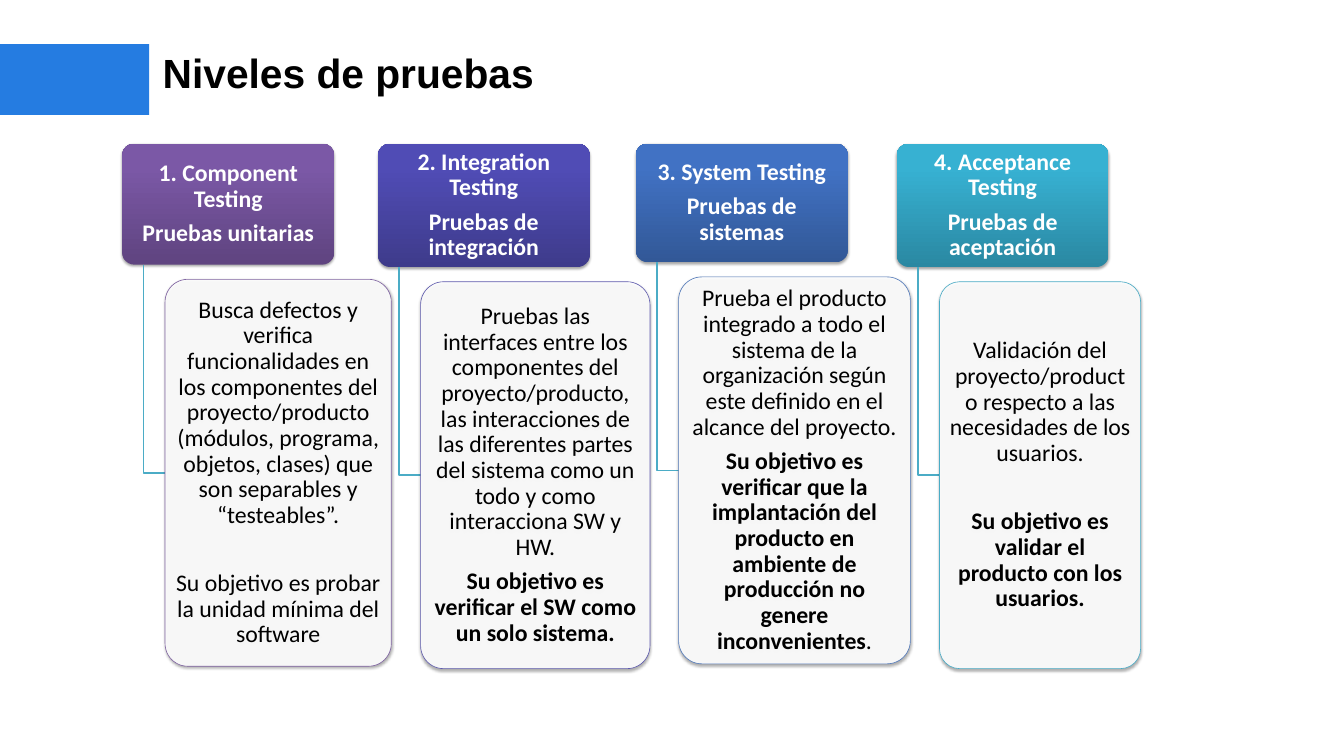
"""Build the slide on the four levels of software testing."""
from lxml import etree
from pptx import Presentation
from pptx import util as u
from pptx.dml.color import RGBColor
from pptx.enum import shapes, text
from pptx.oxml import ns

TITLE = "Niveles de pruebas"
LEVELS = [
    dict(left=5.08, header_height=5.03, card_width=9.4,
         dark="5F4480", light="7B58A6", outline="8064A2", gap=40,
         header=["1. Component Testing", "Pruebas unitarias"],
         card=[[("Busca defectos y verifica funcionalidades en los componentes del "
                 "proyecto/producto (módulos, programa, objetos, clases) que son "
                 "separables y “testeables”.", False)],
               [("Su objetivo es probar la unidad mínima del software", False)]]),
    dict(left=15.7, header_height=5.13, card_width=9.53,
         dark="3E3B8B", light="504CB5", outline="5F5BAE", gap=0,
         header=["2. Integration Testing", "Pruebas de integración"],
         card=[[("Pruebas las interfaces entre los componentes del proyecto/producto, "
                 "las interacciones de las diferentes partes del sistema como un todo "
                 "y como interacciona SW y HW.", False)],
               [("Su objetivo es verificar el SW como un solo sistema.", True)]]),
    dict(left=26.42, header_height=4.93, card_width=9.63,
         dark="325897", light="4172C4", outline="537ABA", gap=0,
         header=["3. System Testing", "Pruebas de sistemas"],
         card=[[("Prueba el producto integrado a todo el sistema de la organización "
                 "según este definido en el alcance del proyecto.", False)],
               [("Su objetivo es verificar que la implantación del producto en "
                 "ambiente de producción no genere inconvenientes", True),
                (".", False)]]),
    dict(left=37.26, header_height=5.13, card_width=8.36,
         dark="2A88A2", light="37B1D2", outline="4BACC6", gap=40,
         header=["4. Acceptance Testing", "Pruebas de aceptación"],
         card=[[("Validación del proyecto/producto respecto a las necesidades de los "
                 "usuarios.", False)],
               [("Su objetivo es validar el producto con los usuarios.", True)]]),
]
HEADER_TOP, HEADER_WIDTH = 5.97, 8.81
CARD_INDENT, CARD_DROP, CARD_HEIGHT = 1.78, 0.61, 16.08
STEM_INDENT = 0.88


def color(value):
    return RGBColor.from_string(value)


def add_shadow(shape):
    shape.shadow.inherit = False
    effects = shape.element.spPr.find(ns.qn("a:effectLst"))
    outer = etree.SubElement(effects, ns.qn("a:outerShdw"), blurRad=str(u.Pt(3.1)),
                             dist=str(u.Pt(1.8)), dir="5400000", rotWithShape="0")
    black = etree.SubElement(outer, ns.qn("a:srgbClr"), val="000000")
    etree.SubElement(black, ns.qn("a:alpha"), val="35000")


def add_box(slide, left, top, width, height, paragraphs, font_color, gap=0):
    shape = slide.shapes.add_shape(shapes.MSO_SHAPE.ROUNDED_RECTANGLE,
                                   u.Cm(left), u.Cm(top), u.Cm(width), u.Cm(height))
    shape.adjustments[0] = 0.1
    add_shadow(shape)
    frame = shape.text_frame
    frame.word_wrap = True
    frame.vertical_anchor = text.MSO_ANCHOR.MIDDLE
    frame.margin_left = frame.margin_right = u.Cm(0.15)
    frame.margin_top = frame.margin_bottom = u.Cm(0.1)
    for index, runs in enumerate(paragraphs):
        paragraph = frame.add_paragraph() if index else frame.paragraphs[0]
        paragraph.alignment = text.PP_ALIGN.CENTER
        paragraph.line_spacing = 0.9
        paragraph.space_after = u.Pt(10)
        if index and gap:
            paragraph.space_before = u.Pt(gap)
        paragraph.font.name = "Calibri"
        paragraph.font.size = u.Pt(28)
        paragraph.font.color.rgb = color(font_color)
        for content, bold in runs:
            run = paragraph.add_run()
            run.text = content
            run.font.bold = bold
    return shape


def add_level(slide, level):
    left = level["left"]
    header_bottom = HEADER_TOP + level["header_height"]
    card_left, card_top = left + CARD_INDENT, header_bottom + CARD_DROP
    stem, middle = left + STEM_INDENT, card_top + CARD_HEIGHT / 2

    header = add_box(slide, left, HEADER_TOP, HEADER_WIDTH, level["header_height"],
                     [[(line, True)] for line in level["header"]], "FFFFFF")
    header.line.fill.background()
    header.fill.gradient()
    header.fill.gradient_angle = 90
    for stop, position, shade in zip(header.fill.gradient_stops, (0, 0.8),
                                     (level["dark"], level["light"])):
        stop.position = position
        stop.color.rgb = color(shade)

    builder = slide.shapes.build_freeform(u.Cm(stem), u.Cm(header_bottom))
    builder.add_line_segments([(u.Cm(stem), u.Cm(middle)),
                               (u.Cm(card_left), u.Cm(middle))], close=False)
    branch = builder.convert_to_shape()
    branch.shadow.inherit = False
    branch.fill.background()
    branch.line.color.rgb = color("4BACC6")
    branch.line.width = u.Pt(2)

    card = add_box(slide, card_left, card_top, level["card_width"], CARD_HEIGHT,
                   level["card"], "000000", level["gap"])
    card.fill.solid()
    card.fill.fore_color.rgb = color("FFFFFF")
    white = card.element.spPr.find(ns.qn("a:solidFill")).find(ns.qn("a:srgbClr"))
    etree.SubElement(white, ns.qn("a:alpha"), val="90000")
    card.line.color.rgb = color(level["outline"])
    card.line.width = u.Pt(0.75)


def add_title(slide):
    bar = slide.shapes.add_shape(shapes.MSO_SHAPE.RECTANGLE,
                                 0, u.Cm(1.83), u.Cm(6.2), u.Cm(2.95))
    bar.shadow.inherit = False
    bar.fill.solid()
    bar.fill.fore_color.rgb = color("257CE1")
    bar.line.fill.background()

    title = slide.shapes.title
    title.left, title.top = u.Cm(6.76), u.Cm(1.98)
    title.width, title.height = u.Cm(47.2), u.Cm(2.06)
    frame = title.text_frame
    frame.text = TITLE
    frame.auto_size = text.MSO_AUTO_SIZE.NONE
    frame.vertical_anchor = text.MSO_ANCHOR.TOP
    frame.margin_left = frame.margin_right = frame.margin_top = frame.margin_bottom = 0
    paragraph = frame.paragraphs[0]
    paragraph.alignment = text.PP_ALIGN.LEFT
    paragraph.font.name = "Arial"
    paragraph.font.size = u.Pt(48)
    paragraph.font.bold = True
    paragraph.font.color.rgb = color("000000")


def main():
    presentation = Presentation()
    presentation.slide_width, presentation.slide_height = u.Cm(55.85), u.Cm(31.42)
    slide = presentation.slides.add_slide(presentation.slide_layouts[5])
    add_title(slide)
    for level in LEVELS:
        add_level(slide, level)
    presentation.save("out.pptx")


if __name__ == "__main__":
    main()
